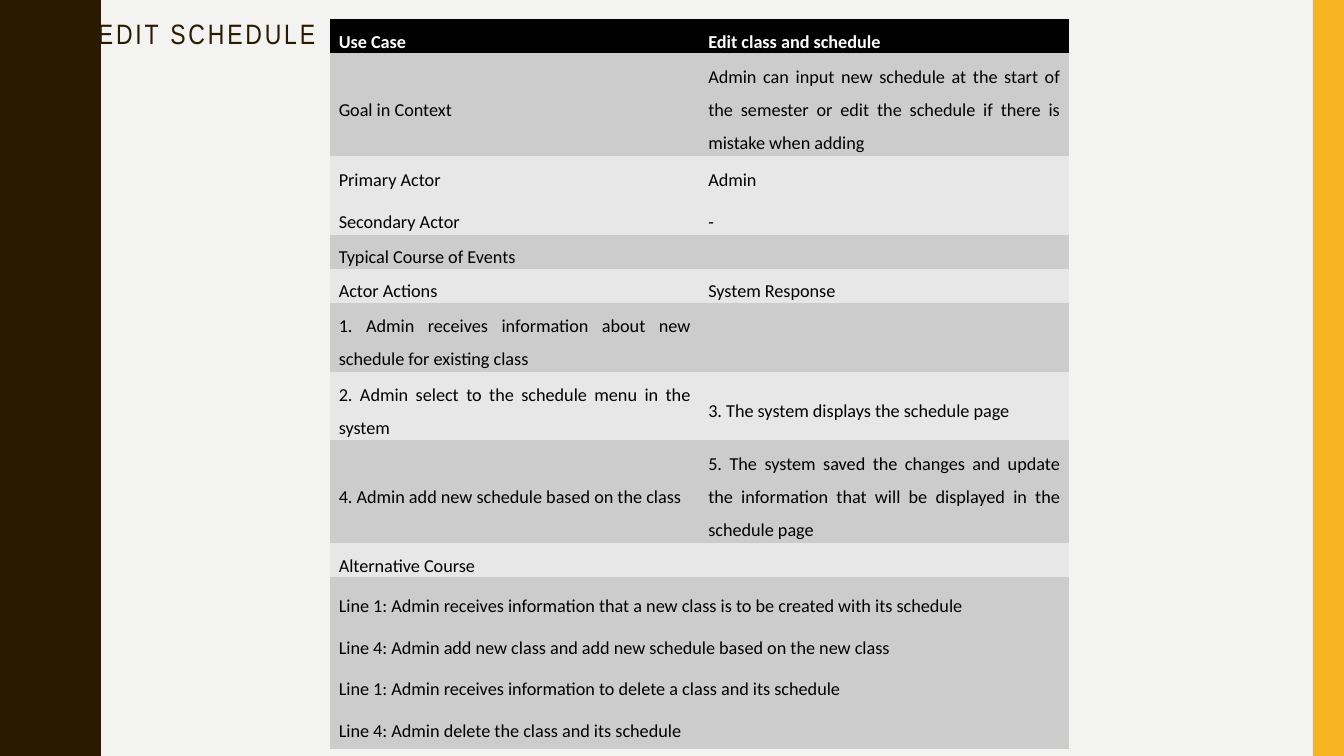
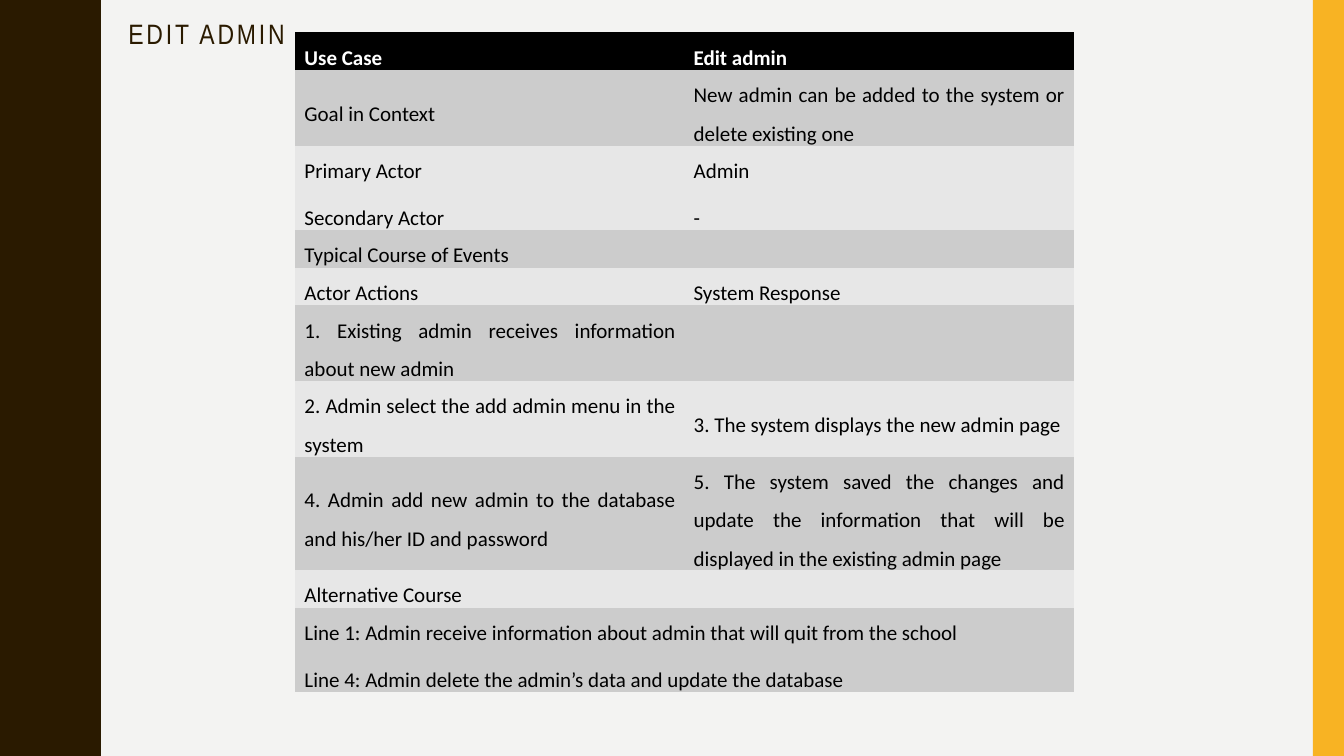
"""Build two use case slides, each with a title and a scenario table."""
from pptx import Presentation
from pptx.dml.color import RGBColor
from pptx.enum import shapes, text
from pptx.util import Inches, Pt

BROWN, AMBER, PAPER = "2A1A00", "F8B323", "F3F3F2"
BLACK, WHITE, DARK_BAND, LIGHT_BAND = "000000", "FFFFFF", "CCCCCC", "E7E7E7"
TITLE_FONT, BODY_FONT = "Arial Narrow", "Calibri"
NO_GRID_STYLE = "{2D5ABB26-0587-4C30-8999-92F81FD0307C}"
SLIDE_WIDTH, SLIDE_HEIGHT = 13.33, 7.5
WAVE_PERIOD, WAVE_COUNT = 1.5, 5
HALF_WAVE = [
    (0.78, 0), (0.78, 0.07), (0.79, 0.14), (0.8, 0.2), (0.81, 0.25),
    (0.83, 0.29), (0.85, 0.33), (0.87, 0.38), (0.89, 0.42), (0.91, 0.46),
    (0.93, 0.5), (0.95, 0.55), (0.96, 0.61), (0.97, 0.68), (0.97, 0.75),
]

USE_CASES = [
    {
        "title": "EDIT SCHEDULE",
        "name": "Edit class and schedule",
        "goal": "Admin can input new schedule at the start of the semester or "
                "edit the schedule if there is mistake when adding",
        "steps": [
            ("1. Admin receives information about new schedule for existing class", ""),
            ("2. Admin select to the schedule menu in the system",
             "3. The system displays the schedule page"),
            ("4. Admin add new schedule based on the class",
             "5. The system saved the changes and update the information that "
             "will be displayed in the schedule page"),
        ],
        "alternatives": [
            "Line 1: Admin receives information that a new class is to be created with its schedule",
            "Line 4: Admin add new class and add new schedule based on the new class",
            "Line 1: Admin receives information to delete a class and its schedule",
            "Line 4: Admin delete the class and its schedule",
        ],
        "position": (3.27, 0.19),
        "width": 7.33,
        "size": 13,
        "heights": [0.34, 1.02, 0.78, 0.34, 0.34, 0.68, 0.68, 1.02, 0.34, 1.7],
    },
    {
        "title": "EDIT ADMIN",
        "name": "Edit admin",
        "goal": "New admin can be added to the system or delete existing one",
        "steps": [
            ("1. Existing admin receives information about new admin", ""),
            ("2. Admin select the add admin menu in the system",
             "3. The system displays the new admin page"),
            ("4. Admin add new admin to the database and his/her ID and password",
             "5. The system saved the changes and update the information that "
             "will be displayed in the existing admin page"),
        ],
        "alternatives": [
            "Line 1: Admin receive information about admin that will quit from the school",
            "Line 4: Admin delete the admin’s data and update the database",
        ],
        "position": (2.93, 0.32),
        "width": 7.72,
        "size": 15,
        "heights": [0.37, 0.74, 0.83, 0.37, 0.37, 0.74, 0.74, 1.12, 0.37, 0.83],
    },
]


def paint(fill, color):
    """Make a fill solid in the given hex colour."""
    fill.solid()
    fill.fore_color.rgb = RGBColor.from_string(color)


def style_font(font, name, size, color, bold=False):
    """Set the typeface, size, colour and weight of a font."""
    font.name, font.size, font.bold = name, Pt(size), bold
    font.color.rgb = RGBColor.from_string(color)


def finish_band(shape, color):
    """Give a decorative band a plain fill without line or shadow."""
    paint(shape.fill, color)
    shape.line.fill.background()
    shape.shadow.inherit = False


def add_wave(slide):
    """Draw the brown band with a wavy right edge."""
    mirrored = [(x, WAVE_PERIOD - y) for x, y in reversed(HALF_WAVE[:-1])]
    edge = [(x, y + index * WAVE_PERIOD)
            for index in range(WAVE_COUNT) for x, y in HALF_WAVE + mirrored]
    builder = slide.shapes.build_freeform(0, 0, scale=Inches(1))
    builder.add_line_segments(edge + [(0, SLIDE_HEIGHT)], close=True)
    finish_band(builder.convert_to_shape(), BROWN)


def add_side_bar(slide):
    """Draw the amber bar along the right edge."""
    bar = slide.shapes.add_shape(
        shapes.MSO_SHAPE.RECTANGLE, Inches(13.02), 0, Inches(0.31), Inches(SLIDE_HEIGHT))
    finish_band(bar, AMBER)


def add_title(slide, title):
    """Add the letter-spaced slide title."""
    box = slide.shapes.add_textbox(Inches(0.8), Inches(0.1), Inches(2.5), Inches(0.5))
    frame = box.text_frame
    frame.word_wrap = True
    frame.vertical_anchor = text.MSO_ANCHOR.MIDDLE
    frame.text = title
    paragraph = frame.paragraphs[0]
    paragraph.alignment = text.PP_ALIGN.CENTER
    paragraph.line_spacing = 0.9
    run = paragraph.runs[0]
    style_font(run.font, TITLE_FONT, 20, BROWN)
    run.font._element.set("spc", "200")


def table_rows(case):
    """List the table rows; a row with one entry spans both columns."""
    return [
        ("Use Case", case["name"]),
        ("Goal in Context", case["goal"]),
        ("Primary Actor\nSecondary Actor", "Admin\n-"),
        ("Typical Course of Events",),
        ("Actor Actions", "System Response"),
        *case["steps"],
        ("Alternative Course",),
        ("\n".join(case["alternatives"]),),
    ]


def fill_cell(cell, content, size, header):
    """Write justified text into a table cell."""
    cell.margin_left = cell.margin_right = Inches(0.09)
    cell.margin_top = cell.margin_bottom = 0
    cell.vertical_anchor = text.MSO_ANCHOR.MIDDLE
    cell.text_frame.text = content
    for paragraph in cell.text_frame.paragraphs:
        paragraph.alignment = text.PP_ALIGN.JUSTIFY
        paragraph.line_spacing = 1.5
        paragraph.space_after = Pt(6)
        for run in paragraph.runs:
            style_font(run.font, BODY_FONT, size, WHITE if header else BLACK, header)


def add_use_case_table(slide, case):
    """Add the banded table that describes one use case."""
    rows, heights = table_rows(case), case["heights"]
    left, top = case["position"]
    frame = slide.shapes.add_table(
        len(rows), 2, Inches(left), Inches(top), Inches(case["width"]), Inches(sum(heights)))
    frame.element.xpath(".//a:tableStyleId")[0].text = NO_GRID_STYLE
    table = frame.table
    for index, (entries, height) in enumerate(zip(rows, heights)):
        table.rows[index].height = Inches(height)
        band = BLACK if index == 0 else DARK_BAND if index % 2 else LIGHT_BAND
        for column in range(2):
            paint(table.cell(index, column).fill, band)
        if len(entries) == 1:
            table.cell(index, 0).merge(table.cell(index, 1))
        for column, content in enumerate(entries):
            fill_cell(table.cell(index, column), content, case["size"], index == 0)


def main():
    """Build and save the presentation."""
    presentation = Presentation()
    presentation.slide_width = Inches(SLIDE_WIDTH)
    presentation.slide_height = Inches(SLIDE_HEIGHT)
    paint(presentation.slide_master.background.fill, PAPER)
    for case in USE_CASES:
        slide = presentation.slides.add_slide(presentation.slide_layouts[6])
        add_wave(slide)
        add_side_bar(slide)
        add_title(slide, case["title"])
        add_use_case_table(slide, case)
    presentation.save("out.pptx")


if __name__ == "__main__":
    main()
